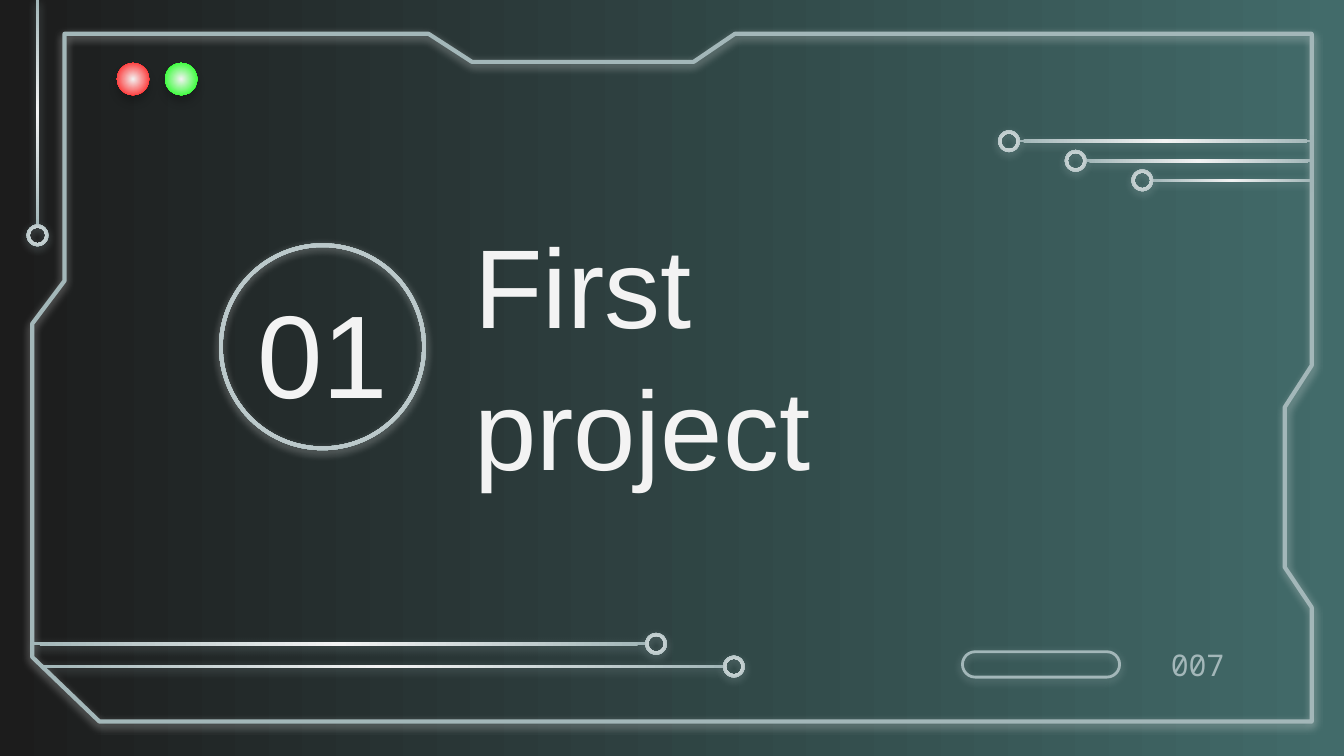
from dataclasses import dataclass
from math import copysign
from typing import Any

from lxml.etree import SubElement
from pptx import Presentation
from pptx.dml.color import RGBColor
from pptx.enum.shapes import MSO_SHAPE as Preset
from pptx.enum.text import MSO_ANCHOR as Anchor, MSO_AUTO_SIZE as AutoSize, PP_ALIGN as Align
from pptx.oxml.ns import qn
from pptx.util import Cm, Pt


@dataclass(frozen=True)
class Theme:
    dark: str = "1C1C1C"
    teal: str = "426B6A"
    light: str = "F3F3F3"
    silver: str = "A3B7B9"
    red: str = "FF0000"
    green: str = "00FF00"
    black: str = "000000"
    sans: str = "Arial"
    mono: str = "Noto Sans Mono"
    title_size: float = 60
    number_size: float = 63
    page_size: float = 16
    frame_line: float = 2.25
    pill_line: float = 1.5


@dataclass(frozen=True)
class Area:
    left: float
    top: float
    width: float
    height: float

    def lengths(self) -> tuple[Cm, Cm, Cm, Cm]:
        return Cm(self.left), Cm(self.top), Cm(self.width), Cm(self.height)


@dataclass(frozen=True)
class Glow:
    color: str
    opacity: int = 50
    distance: float = 1.5


@dataclass(frozen=True)
class Trace:
    ring_x: float
    ring_y: float
    end_x: float
    end_y: float


@dataclass(frozen=True)
class Label:
    text: str
    area: Area
    size: float
    font: str
    color: str
    align: Align
    spacing: float = 1.0


THEME = Theme()
RING = 0.41
BAR = 0.05
FRAME = [
    (24.79, 0.64), (13.89, 0.64), (13.11, 1.17), (8.92, 1.17), (8.1, 0.64),
    (1.22, 0.64), (1.22, 5.31), (0.61, 6.12), (0.61, 12.42), (1.88, 13.64),
    (24.79, 13.64), (24.79, 11.48), (24.28, 10.72), (24.28, 7.7), (24.79, 6.91),
]
SIDE_TRACE = Trace(0.71, 4.45, 0.71, 0)
TRACES = [Trace(19.07 + 1.26 * i, 2.67 + 0.37 * i, 24.77, 2.67 + 0.37 * i) for i in range(3)]
TRACES += [Trace(13.87, 12.6, 0.81, 12.6), Trace(12.4, 12.17, 0.61, 12.17)]
TITLE = Label("First project", Area(8.71, 5.41, 10.64, 2.46), THEME.title_size,
              THEME.sans, THEME.light, Align.LEFT, 1.05)
NUMBER = Label("01", Area(4.14, 5.11, 3.91, 2.92), THEME.number_size,
               THEME.sans, THEME.light, Align.CENTER, 1.05)
PAGE_NUMBER = Label("007", Area(21.87, 12.32, 1.52, 0.48), THEME.page_size,
                    THEME.mono, THEME.silver, Align.RIGHT)


def apply(target: Any, values: dict[str, Any]) -> None:
    for name, value in values.items():
        setattr(target, name, value)


def fill_gradient(fill: Any, first: str, last: str) -> None:
    fill.gradient()
    for stop, color in zip(fill.gradient_stops, (first, last)):
        stop.color.rgb = RGBColor.from_string(color)


def fill_radial(shape: Any, rim: str) -> None:
    fill_gradient(shape.fill, THEME.light, rim)
    gradient = shape._element.spPr.find(qn("a:gradFill"))
    gradient.remove(gradient.find(qn("a:lin")))
    circle = SubElement(gradient, qn("a:path"), {"path": "circle"})
    SubElement(circle, qn("a:fillToRect"), {side: "50000" for side in "ltrb"})


def add_glow(shape: Any, glow: Glow) -> None:
    shape.shadow.inherit = False
    effects = shape._element.spPr.find(qn("a:effectLst"))
    shadow = SubElement(effects, qn("a:outerShdw"), {
        "blurRad": str(Pt(4.5)), "dist": str(Pt(glow.distance)),
        "dir": "5400000", "algn": "bl", "rotWithShape": "0",
    })
    color = SubElement(shadow, qn("a:srgbClr"), {"val": glow.color})
    SubElement(color, qn("a:alpha"), {"val": str(glow.opacity * 1000)})


def draw_outline(shape: Any, width: float, glow: Glow) -> None:
    shape.fill.background()
    shape.line.color.rgb = RGBColor.from_string(THEME.silver)
    shape.line.width = Pt(width)
    add_glow(shape, glow)


def draw_solid(page: Any, preset: Preset, area: Area, rim: str, glow: Glow) -> Any:
    shape = page.shapes.add_shape(preset, *area.lengths())
    fill_radial(shape, rim)
    shape.line.fill.background()
    add_glow(shape, glow)
    return shape


def draw_ring(page: Any, area: Area, thickness: float, glow: Glow) -> None:
    ring = draw_solid(page, Preset.DONUT, area, THEME.silver, glow)
    ring.adjustments[0] = thickness


def draw_trace(page: Any, trace: Trace) -> None:
    glow = Glow(THEME.silver)
    x, y, half = trace.ring_x, trace.ring_y, RING / 2
    if x == trace.end_x:
        start = y + copysign(half, trace.end_y - y)
        bar = Area(x - BAR / 2, min(start, trace.end_y), BAR, abs(trace.end_y - start))
    else:
        start = x + copysign(half, trace.end_x - x)
        bar = Area(min(start, trace.end_x), y - BAR / 2, abs(trace.end_x - start), BAR)
    draw_solid(page, Preset.RECTANGLE, bar, THEME.silver, glow)
    draw_ring(page, Area(x - half, y - half, RING, RING), 0.14, glow)


def draw_frame(page: Any) -> None:
    points = [(Cm(x), Cm(y)) for x, y in FRAME]
    builder = page.shapes.build_freeform(*points[0], scale=1.0)
    builder.add_line_segments(points[1:], close=True)
    draw_outline(builder.convert_to_shape(), THEME.frame_line, Glow(THEME.light))


def write_label(box: Any, label: Label) -> None:
    apply(box, dict(zip(("left", "top", "width", "height"), label.area.lengths())))
    margins = {f"margin_{side}": Cm(0.25) for side in ("left", "top", "right", "bottom")}
    apply(box.text_frame, {
        "word_wrap": True, "auto_size": AutoSize.NONE,
        "vertical_anchor": Anchor.MIDDLE, **margins,
    })
    para = box.text_frame.paragraphs[0]
    apply(para, {"alignment": label.align, "line_spacing": label.spacing})
    span = para.add_run()
    span.text = label.text
    apply(span.font, {"name": label.font, "size": Pt(label.size)})
    span.font.color.rgb = RGBColor.from_string(label.color)


def draw_label(page: Any, label: Label) -> None:
    write_label(page.shapes.add_textbox(*label.area.lengths()), label)


def main() -> None:
    deck = Presentation()
    apply(deck, {"slide_width": Cm(25.4), "slide_height": Cm(14.29)})
    page = deck.slides.add_slide(deck.slide_layouts[5])
    fill_gradient(page.background.fill, THEME.dark, THEME.teal)
    page.background.fill.gradient_angle = 0

    draw_frame(page)
    draw_trace(page, SIDE_TRACE)
    write_label(page.shapes.title, TITLE)
    draw_label(page, NUMBER)
    draw_ring(page, Area(4.14, 4.6, 3.91, 3.91), 0.018, Glow(THEME.light))
    for trace in TRACES:
        draw_trace(page, trace)
    draw_label(page, PAGE_NUMBER)
    for left, color in ((2.21, THEME.red), (3.12, THEME.green)):
        draw_solid(page, Preset.OVAL, Area(left, 1.19, 0.61, 0.61), color,
                   Glow(THEME.black, 20, 3.8))
    pill = page.shapes.add_shape(Preset.ROUNDED_RECTANGLE, *Area(18.19, 12.32, 2.97, 0.48).lengths())
    pill.adjustments[0] = 0.5
    draw_outline(pill, THEME.pill_line, Glow(THEME.silver))
    deck.save("out.pptx")


if __name__ == "__main__":
    main()
